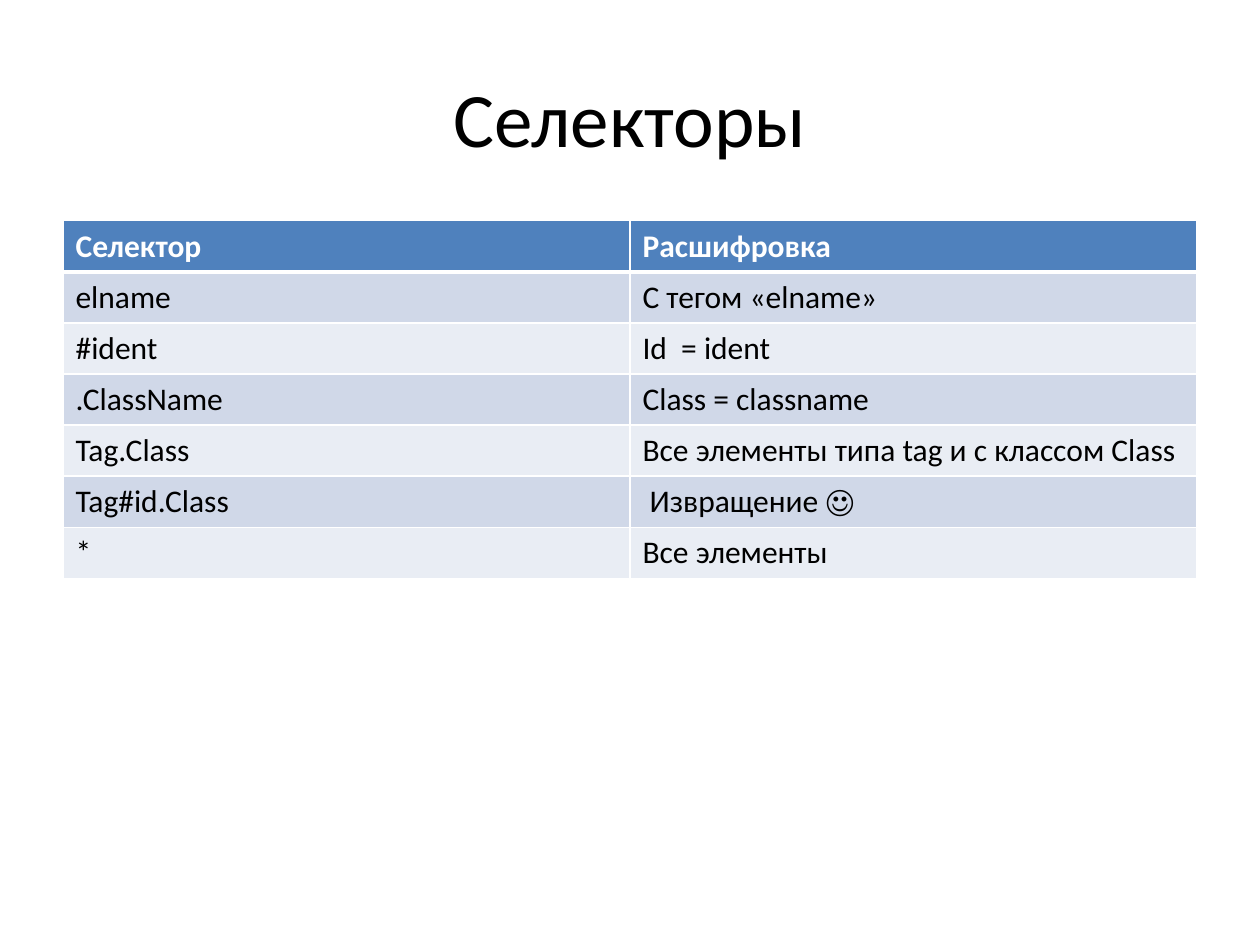
from pptx import Presentation
from pptx.dml.color import RGBColor
from pptx.enum.text import MSO_ANCHOR as Anchor, PP_ALIGN as Align
from pptx.oxml.ns import qn
from pptx.util import Cm, Pt
from lxml.etree import SubElement

BLACK = RGBColor(0x00, 0x00, 0x00)
WHITE = RGBColor(0xFF, 0xFF, 0xFF)
HEADER_BLUE = RGBColor(0x4F, 0x81, 0xBD)
BAND_DARK = RGBColor(0xD0, 0xD8, 0xE8)
BAND_LIGHT = RGBColor(0xE9, 0xED, 0xF4)

SELECTORS = [
    ("Селектор", "Расшифровка"),
    ("elname", "С тегом «elname»"),
    ("#ident", "Id  = ident"),
    (".ClassName", "Class = classname"),
    ("Tag.Class", "Все элементы типа tag и с классом Class"),
    ("Tag#id.Class", " Извращение ☺"),
    ("*", "Все элементы"),
]


class SlideWriter:
    font_name = "Calibri"
    title_size = Pt(44)
    body_size = Pt(18)

    def __init__(self, slide):
        self.slide = slide

    def style(self, paragraph, size, color, bold=False):
        font = paragraph.font
        font.name, font.size, font.bold = self.font_name, size, bold
        font.color.rgb = color

    def title(self, text, left, top, width, height):
        frame = self.slide.shapes.add_textbox(left, top, width, height).text_frame
        frame.word_wrap = True
        frame.vertical_anchor = Anchor.MIDDLE
        heading = frame.paragraphs[0]
        heading.text = text
        heading.alignment = Align.CENTER
        self.style(heading, self.title_size, BLACK)

    def border(self, cell, side, width, color):
        properties = cell._tc.get_or_add_tcPr()
        line = SubElement(properties, qn(f"a:ln{side}"), w=str(width))
        fill = SubElement(line, qn("a:solidFill"))
        SubElement(fill, qn("a:srgbClr"), val=str(color))

    def cell(self, cell, text, fill, color, borders, bold):
        # Borders come before the fill in the cell properties
        for side, width in borders.items():
            self.border(cell, side, width, WHITE)
        cell.fill.solid()
        cell.fill.fore_color.rgb = fill
        cell.text = text
        self.style(cell.text_frame.paragraphs[0], self.body_size, color, bold)

    def table(self, rows, left, top, width, row_height):
        grid = self.slide.shapes.add_table(
            len(rows), len(rows[0]), left, top, width, row_height * len(rows)
        ).table
        for r, row in enumerate(rows):
            is_header = r == 0
            band = BAND_DARK if r % 2 else BAND_LIGHT
            borders = {
                "L": Pt(1),
                "R": Pt(1),
                "T": Pt(3) if r == 1 else Pt(1),
                "B": Pt(3) if is_header else Pt(1),
            }
            for c, text in enumerate(row):
                self.cell(
                    grid.cell(r, c),
                    text,
                    HEADER_BLUE if is_header else band,
                    WHITE if is_header else BLACK,
                    borders,
                    is_header,
                )


def main():
    deck = Presentation()
    deck.slide_width, deck.slide_height = Cm(25.4), Cm(19.05)
    writer = SlideWriter(deck.slides.add_slide(deck.slide_layouts[6]))
    margin, content_width = Cm(1.27), Cm(22.86)

    # Title
    writer.title("Селекторы", margin, Cm(0.76), content_width, Cm(3.18))

    # Selector reference
    writer.table(SELECTORS, margin, Cm(4.45), content_width, Cm(1.03))

    deck.save("out.pptx")


if __name__ == "__main__":
    main()
